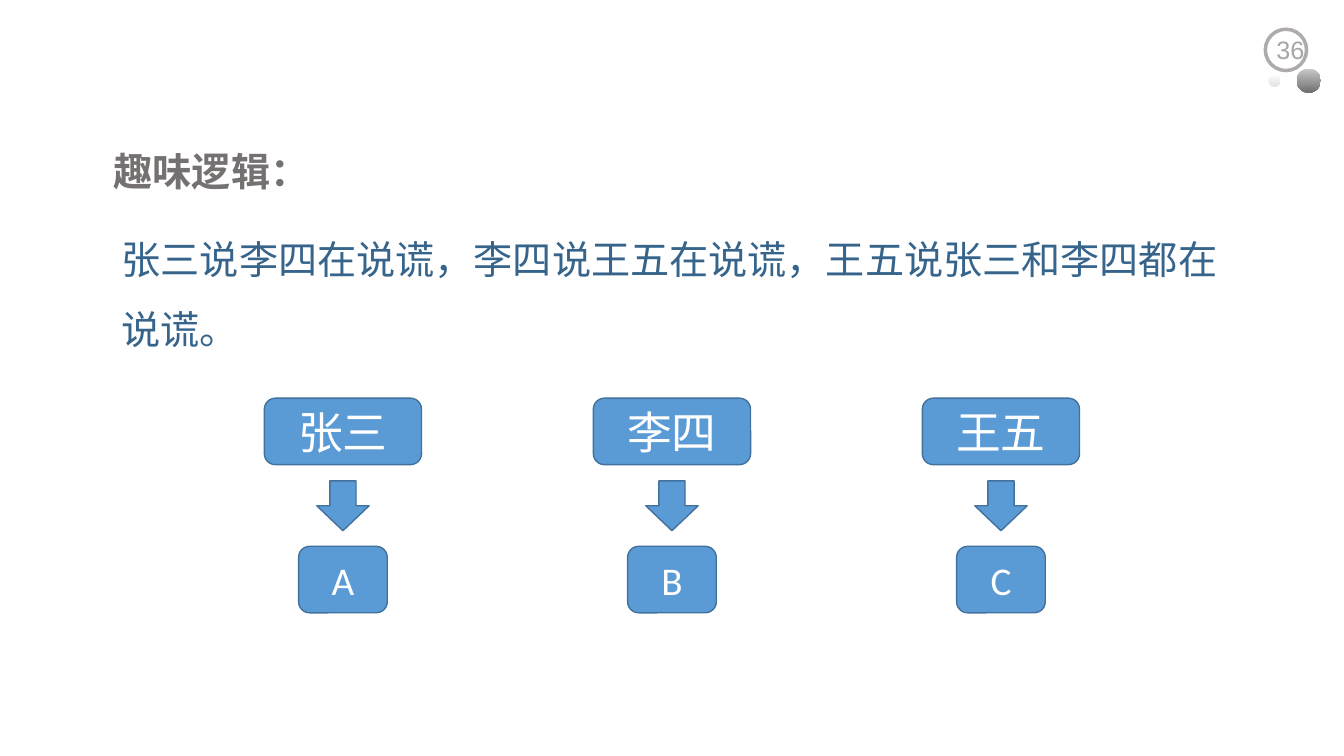
from pptx import Presentation
from pptx.dml.color import RGBColor
from pptx.enum.shapes import MSO_SHAPE as Preset
from pptx.enum.text import MSO_ANCHOR as Anchor, PP_ALIGN as Align
from pptx.oxml.ns import qn
from pptx.util import Inches, Pt
from lxml.etree import SubElement

WIDTH, HEIGHT = Inches(13.34), Inches(7.5)
COLUMN, ROW = WIDTH / 100, HEIGHT / 100
CHINESE_FONT = "Noto Sans CJK SC"
BOX_FILL, BOX_LINE, WHITE = "5B9BD5", "41719C", "FFFFFF"

NUMBER = {"name": "Arial", "size": Pt(18)}
BODY = {"name": "Calibri", "size": Pt(28)}
HEADING = {**BODY, "bold": True}
PERSON = {"name": CHINESE_FONT, "size": Pt(32)}

SPEAKERS = [("张三", "A"), ("李四", "B"), ("王五", "C")]
MIDDLE, SPEAKER_STEP = 50, 24.48


def color(value):
    return RGBColor.from_string(value)


def place(left, top, width, height):
    return (round(left * COLUMN), round(top * ROW),
            round(width * COLUMN), round(height * ROW))


def write(shape, text, font, font_color, **layout):
    paragraph = shape.text_frame.paragraphs[0]
    for name, value in layout.items():
        setattr(paragraph, name, value)
    run = paragraph.add_run()
    run.text = text
    for name, value in font.items():
        setattr(run.font, name, value)
    run.font.color.rgb = color(font_color)
    SubElement(run.font._element, qn("a:ea"), typeface=CHINESE_FONT)


def add_text(slide, area, text, font, font_color, **layout):
    box = slide.shapes.add_textbox(*place(*area))
    box.text_frame.word_wrap = True
    write(box, text, font, font_color, **layout)


def add_solid(slide, preset, area, fill=BOX_FILL, line=BOX_LINE, weight=1):
    shape = slide.shapes.add_shape(preset, *place(*area))
    shape.shadow.inherit = False
    shape.fill.solid()
    shape.fill.fore_color.rgb = color(fill)
    shape.line.color.rgb = color(line)
    shape.line.width = Pt(weight)
    return shape


def add_label(slide, area, text, font):
    box = add_solid(slide, Preset.ROUNDED_RECTANGLE, area)
    box.text_frame.vertical_anchor = Anchor.MIDDLE
    write(box, text, font, WHITE, alignment=Align.CENTER)


def add_dot(slide, area, top_color, bottom_color):
    dot = slide.shapes.add_shape(Preset.OVAL, *place(*area))
    dot.shadow.inherit = False
    dot.line.fill.background()
    dot.fill.gradient()
    dot.fill.gradient_angle = 270
    for stop, value in zip(dot.fill.gradient_stops, (top_color, bottom_color)):
        stop.color.rgb = color(value)


def add_page_number(slide):
    add_solid(slide, Preset.OVAL, (94.15, 3.87, 3.07, 5.47), WHITE, "AFABAB", 2.5)
    add_dot(slide, (96.48, 9.07, 1.8, 3.2), "C9C9C9", "6F6F6F")
    add_dot(slide, (94.38, 9.87, 0.9, 1.6), "FAFAFA", "E4E4E4")
    add_text(slide, (94.23, 3.87, 4.12, 5.33), "36", NUMBER, "A6A6A6")


def add_speaker(slide, center, person, letter):
    def centered(top, width, height):
        return center - width / 2, top, width, height

    add_label(slide, centered(52.67, 11.7, 8.8), person, PERSON)
    add_solid(slide, Preset.DOWN_ARROW, centered(63.6, 3.9, 6.6))
    add_label(slide, centered(72.27, 6.6, 8.8), letter, BODY)


def main():
    presentation = Presentation()
    presentation.slide_width, presentation.slide_height = WIDTH, HEIGHT
    slide = presentation.slides.add_slide(presentation.slide_layouts[6])

    add_page_number(slide)
    add_text(slide, (7.72, 15.73, 26.84, 10.67), "趣味逻辑：",
             HEADING, "767171", line_spacing=1.5)
    add_text(slide, (8.32, 27.33, 83.28, 20),
             "张三说李四在说谎，李四说王五在说谎，王五说张三和李四都在说谎。",
             BODY, "36648B", line_spacing=1.5)
    for index, (person, letter) in enumerate(SPEAKERS):
        add_speaker(slide, MIDDLE + (index - 1) * SPEAKER_STEP, person, letter)

    presentation.save("out.pptx")


if __name__ == "__main__":
    main()
